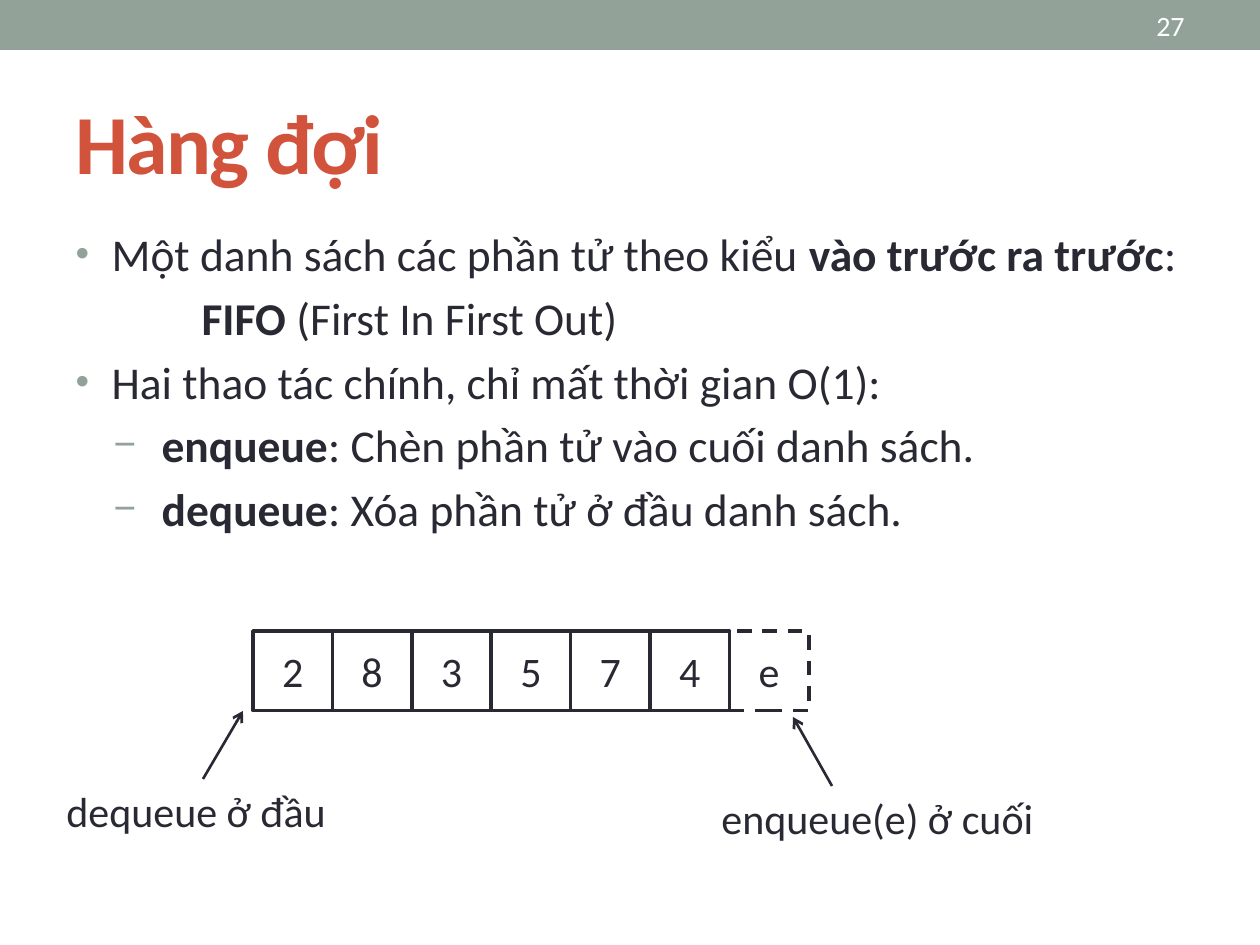
import lxml.etree
import pptx
import pptx.dml.color
import pptx.enum.dml
import pptx.enum.shapes
import pptx.enum.text
import pptx.oxml.ns
import pptx.util

TITLE = "Hàng đợi"
PAGE_NUMBER = "27"
POINTS = [
    ("bullet", [("Một danh sách các phần tử theo kiểu ", False),
                ("vào trước ra trước", True), (":", False)]),
    ("plain", [("FIFO", True), (" (First In First Out)", False)]),
    ("bullet", [("Hai thao tác chính, chỉ mất thời gian O(1):", False)]),
    ("dash", [("enqueue", True), (": Chèn phần tử vào cuối danh sách.", False)]),
    ("dash", [("dequeue", True), (": Xóa phần tử ở đầu danh sách.", False)]),
]
QUEUE = ["2", "8", "3", "5", "7", "4"]
NEW_ITEM = "e"
CALLOUTS = [
    ("dequeue ở đầu", (54, 779, 297, 63), (203, 779), (243, 711)),
    ("enqueue(e) ở cuối", (709, 786, 348, 63), (832, 786), (793, 717)),
]

THEME = {
    "font": "Calibri", "ink": "292934", "accent": "D2533C", "band": "93A299",
    "white": "FFFFFF", "title": 48, "body": 26, "label": 24, "number": 16,
    "cell_line": 2.08, "arrow_line": 1.5,
}
LIST_STYLES = {
    "bullet": {"level": 0, "margin": 36, "indent": -36, "mark": "•"},
    "plain": {"level": 0, "margin": 126, "indent": 0, "mark": None},
    "dash": {"level": 1, "margin": 86, "indent": -48, "mark": "−"},
}
CELL = 79.4
QUEUE_LEFT, QUEUE_TOP = 253, 631
ALIGN = pptx.enum.text.PP_ALIGN
ANCHOR = pptx.enum.text.MSO_ANCHOR


def px(value):
    return pptx.util.Emu(round(value * 914400 / 126))


def color(name):
    return pptx.dml.color.RGBColor.from_string(THEME[name])


def add_xml(parent, tag, **attributes):
    return lxml.etree.SubElement(parent, pptx.oxml.ns.qn(tag), attributes)


def format_font(font, size, ink="ink", bold=False):
    font.name = THEME["font"]
    font.size = pptx.util.Pt(THEME[size])
    font.bold = bold
    font.color.rgb = color(ink)


def place(shape, left, top, width, height):
    shape.left, shape.top = px(left), px(top)
    shape.width, shape.height = px(width), px(height)


def set_text(shape, text, size, ink="ink", align=ALIGN.LEFT,
             anchor=ANCHOR.TOP, bold=False):
    frame = shape.text_frame
    frame.text = text
    frame.word_wrap = True
    frame.vertical_anchor = anchor
    para = frame.paragraphs[0]
    para.alignment = align
    format_font(para.runs[0].font, size, ink, bold)


def add_box(page, bounds):
    box = page.shapes.add_shape(
        pptx.enum.shapes.MSO_SHAPE.RECTANGLE, *map(px, bounds))
    box.shadow.inherit = False
    return box


def add_label(page, bounds, text, size, **style):
    box = page.shapes.add_textbox(*map(px, bounds))
    set_text(box, text, size, **style)


def add_title(page):
    title = page.shapes.title
    place(title, 63, 73, 1134, 136)
    set_text(title, TITLE, "title", "accent", anchor=ANCHOR.MIDDLE, bold=True)
    title.text_frame.auto_size = pptx.enum.text.MSO_AUTO_SIZE.NONE
    run = title.text_frame.paragraphs[0].runs[0]
    run.font._element.set("spc", "-100")


def format_list_item(para, style):
    para.level = style["level"]
    para.space_before = pptx.util.Pt(THEME["body"] * 0.2)
    properties = para._p.get_or_add_pPr()
    properties.set("marL", str(px(style["margin"])))
    properties.set("indent", str(px(style["indent"])))
    if style["mark"] is None:
        add_xml(properties, "a:buNone")
        return
    bullet_color = add_xml(properties, "a:buClr")
    add_xml(bullet_color, "a:srgbClr", val=THEME["band"])
    add_xml(properties, "a:buSzPct", val="85000")
    add_xml(properties, "a:buFont", typeface="Arial")
    add_xml(properties, "a:buChar", char=style["mark"])


def add_points(page):
    body = page.placeholders[1]
    place(body, 63, 220, 1134, 391)
    frame = body.text_frame
    frame.word_wrap = True
    frame.auto_size = pptx.enum.text.MSO_AUTO_SIZE.NONE
    for index, (style, spans) in enumerate(POINTS):
        para = frame.add_paragraph() if index else frame.paragraphs[0]
        format_list_item(para, LIST_STYLES[style])
        for text, bold in spans:
            span = para.add_run()
            span.text = text
            format_font(span.font, "body", bold=bold)


def add_queue(page):
    for index, item in enumerate(QUEUE + [NEW_ITEM]):
        cell = add_box(page, (QUEUE_LEFT + index * CELL, QUEUE_TOP, CELL, CELL))
        cell.fill.background()
        cell.line.color.rgb = color("ink")
        cell.line.width = pptx.util.Pt(THEME["cell_line"])
        if index == len(QUEUE):
            cell.line.dash_style = pptx.enum.dml.MSO_LINE.DASH
        set_text(cell, item, "label", align=ALIGN.CENTER, anchor=ANCHOR.MIDDLE)


def add_arrow(page, start, end):
    arrow = page.shapes.add_connector(
        pptx.enum.shapes.MSO_CONNECTOR.STRAIGHT, *map(px, start + end))
    arrow.line.color.rgb = color("ink")
    arrow.line.width = pptx.util.Pt(THEME["arrow_line"])
    add_xml(arrow.line._get_or_add_ln(), "a:tailEnd", type="arrow")
    add_xml(arrow._element.spPr, "a:effectLst")


def main():
    deck = pptx.Presentation()
    deck.slide_width, deck.slide_height = px(1260), px(945)
    page = deck.slides.add_slide(deck.slide_layouts[1])
    band = add_box(page, (0, 0, 1260, 50))
    band.fill.solid()
    band.fill.fore_color.rgb = color("band")
    band.line.fill.background()
    add_title(page)
    add_points(page)
    add_queue(page)
    for text, bounds, start, end in CALLOUTS:
        add_label(page, bounds, text, "label")
        add_arrow(page, start, end)
    add_label(page, (1050, 3, 147, 45), PAGE_NUMBER, "number", ink="white",
              align=ALIGN.RIGHT, anchor=ANCHOR.MIDDLE)
    deck.save("out.pptx")


if __name__ == "__main__":
    main()
